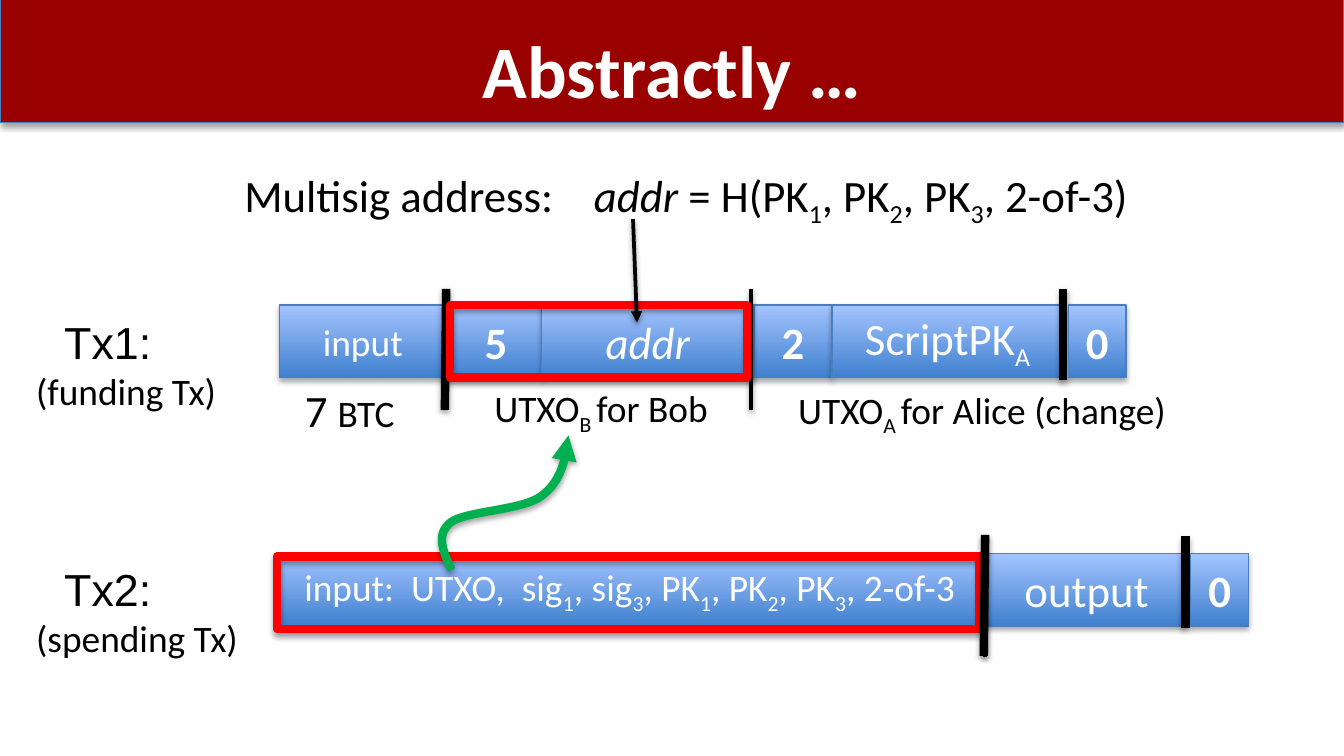
from lxml import etree
from pptx import Presentation
from pptx import util as u
from pptx.dml import color
from pptx.enum import shapes, text
from pptx.oxml import ns

BLACK, WHITE, RED, GREEN = "000000", "FFFFFF", "FF0000", "00B050"
CELL_TOP, CELL_HEIGHT = 2.27, 0.54
SPEND_TOP = 4.12


def rgb(value):
    return color.RGBColor.from_string(value)


def write(frame, content, size=20, tint=BLACK, font="Calibri", bold=False, italic=False):
    """Text between bars is set as a subscript."""
    para = frame.paragraphs[-1]
    for index, part in enumerate(content.split("|")):
        if not part:
            continue
        span = para.add_run()
        span.text = part
        span.font.size = u.Pt(size)
        span.font.name = font
        span.font.bold = bold
        span.font.italic = italic
        span.font.color.rgb = rgb(tint)
        if index % 2:
            span.font._element.set("baseline", "-25000")


def add_shadow(item, opacity=35, distance=1.8):
    effects = etree.SubElement(item.element.spPr, ns.qn("a:effectLst"))
    shadow = etree.SubElement(effects, ns.qn("a:outerShdw"), blurRad=str(u.Pt(3.1)),
                              dist=str(u.Pt(distance)), dir="5400000", rotWithShape="0")
    shade = etree.SubElement(shadow, ns.qn("a:srgbClr"), val=BLACK)
    etree.SubElement(shade, ns.qn("a:alpha"), val=str(opacity * 1000))


def add_arrowhead(item):
    line = item.element.spPr.find(ns.qn("a:ln"))
    etree.SubElement(line, ns.qn("a:tailEnd"), type="triangle")


def bezier(start, first, second, end, steps=16):
    for step in range(1, steps + 1):
        t = step / steps
        weights = ((1 - t) ** 3, 3 * t * (1 - t) ** 2, 3 * t * t * (1 - t), t ** 3)
        yield tuple(u.Inches(sum(w * point[axis] for w, point in zip(weights, (start, first, second, end))))
                    for axis in (0, 1))


class Painter:
    edge = "4B7EBC"
    gradient = ("3F80CE", "A4C4FF")

    def __init__(self, page):
        self.page = page

    def rectangle(self, left, top, width, height, fill=None, edge=edge, weight=0.75):
        box = self.page.shapes.add_shape(shapes.MSO_SHAPE.RECTANGLE, *map(u.Inches, (left, top, width, height)))
        if fill is None:
            box.fill.background()
        elif isinstance(fill, tuple):
            box.fill.gradient()
            box.fill.gradient_angle = 90
            for stop, tint in zip(box.fill.gradient_stops, fill):
                stop.color.rgb = rgb(tint)
        else:
            box.fill.solid()
            box.fill.fore_color.rgb = rgb(fill)
        box.line.color.rgb = rgb(edge)
        box.line.width = u.Pt(weight)
        add_shadow(box)
        return box

    def title(self, content):
        header = self.rectangle(0, -0.01, 10, 0.92, fill="990000")
        box = self.page.shapes.title
        box.element.addprevious(header.element)
        box.left, box.top, box.width, box.height = map(u.Inches, (0.5, 0.14, 9, 0.68))
        frame = box.text_frame
        frame.word_wrap = False
        frame.auto_size = text.MSO_AUTO_SIZE.NONE
        frame.vertical_anchor = text.MSO_ANCHOR.TOP
        frame.margin_top = u.Inches(0.04)
        frame.paragraphs[0].alignment = text.PP_ALIGN.CENTER
        write(frame, content, size=39.6, tint=WHITE, bold=True)

    def cell(self, left, top, width, content, size=24, **style):
        box = self.rectangle(left, top, width, CELL_HEIGHT, fill=self.gradient)
        frame = box.text_frame
        frame.word_wrap = True
        frame.vertical_anchor = text.MSO_ANCHOR.MIDDLE
        frame.paragraphs[0].alignment = text.PP_ALIGN.CENTER
        write(frame, content, size=size, tint=WHITE, **style)

    def label(self, left, top, width, height, content, **style):
        box = self.page.shapes.add_textbox(*map(u.Inches, (left, top, width, height)))
        box.text_frame.word_wrap = False
        write(box.text_frame, content, **style)
        return box.text_frame

    def frame(self, left, top, width):
        self.rectangle(left, top, width, CELL_HEIGHT, edge=RED, weight=4.5)

    def line(self, start, end, weight=4.5, arrow=False):
        link = self.page.shapes.add_connector(shapes.MSO_CONNECTOR.STRAIGHT, *map(u.Inches, start + end))
        link.line.color.rgb = rgb(BLACK)
        link.line.width = u.Pt(weight)
        if arrow:
            add_arrowhead(link)
        add_shadow(link, opacity=38, distance=1.6)

    def curve(self, start, *segments):
        builder = self.page.shapes.build_freeform(*map(u.Inches, start))
        for segment in segments:
            builder.add_line_segments(list(bezier(start, *segment)), close=False)
            start = segment[-1]
        arc = builder.convert_to_shape()
        arc.fill.background()
        arc.line.color.rgb = rgb(GREEN)
        arc.line.width = u.Pt(4.5)
        add_arrowhead(arc)
        add_shadow(arc)


def draw_address(painter):
    frame = painter.label(1.72, 1.2, 7.32, 0.68, "Multisig address:\t", size=24)
    frame.word_wrap = True
    write(frame, "addr", size=24, italic=True)
    write(frame, " = H(PK|1|, PK|2|, PK|3|, 2-of-3)", size=24)
    properties = frame.paragraphs[0]._p.get_or_add_pPr()
    tabs = etree.SubElement(properties, ns.qn("a:tabLst"))
    etree.SubElement(tabs, ns.qn("a:tab"), pos=str(u.Inches(2.6)), algn="l")


def draw_funding(painter):
    painter.cell(3.35, CELL_TOP, 0.68, "5", bold=True)
    painter.cell(4.03, CELL_TOP, 1.58, "addr", italic=True)
    painter.cell(5.61, CELL_TOP, 0.58, "2", bold=True)
    painter.cell(6.19, CELL_TOP, 1.72, "ScriptPK|A|")
    painter.cell(2.08, CELL_TOP, 1.24, "input", size=20)
    painter.line((3.32, 2.15), (3.31, 3.05))
    painter.line((5.59, 2.15), (5.59, 3.05), weight=2)
    painter.label(3.58, 2.82, 1.87, 0.44, "UTXO|B |for Bob")
    painter.line((7.91, 2.15), (7.91, 2.83))
    painter.cell(7.95, CELL_TOP, 0.43, "0", bold=True)
    painter.label(5.84, 2.83, 3.04, 0.44, "UTXO|A |for Alice (change)")
    amount = painter.label(2.17, 2.8, 0.87, 0.5, "7 ", size=24)
    write(amount, "BTC")
    painter.frame(3.35, CELL_TOP, 2.21)
    painter.line((4.71, 1.63), (4.74, 2.4), weight=2, arrow=True)


def draw_spending(painter):
    painter.cell(7.35, SPEND_TOP, 1.47, "output")
    painter.cell(2.08, SPEND_TOP, 5.21, "input:  UTXO,  sig|1|, sig|3|, PK|1|, PK|2|, PK|3|, 2-of-3", size=20)
    painter.line((7.33, 3.99), (7.33, 4.89), weight=2)
    painter.line((8.82, 3.99), (8.82, 4.67))
    painter.cell(8.86, SPEND_TOP, 0.43, "0", bold=True)
    painter.frame(2.06, 4.14, 5.23)
    painter.line((7.33, 3.98), (7.32, 4.88))
    painter.curve((3.36, 4.24),
                  ((3.3, 4.11), (3.24, 3.98), (3.35, 3.89)),
                  ((3.46, 3.8), (3.89, 3.8), (4.03, 3.69)),
                  ((4.18, 3.58), (4.21, 3.41), (4.23, 3.24)))


def main():
    deck = Presentation()
    deck.slide_width, deck.slide_height = u.Inches(10), u.Inches(10 * 9 / 16)
    painter = Painter(deck.slides.add_slide(deck.slide_layouts[5]))
    painter.title("Abstractly …")
    draw_address(painter)
    draw_funding(painter)
    draw_spending(painter)
    for top, name, role, width in ((2.29, "Tx1:", "(funding Tx)", 1.55), (4.13, "Tx2:", "(spending Tx)", 1.72)):
        painter.label(0.38, top, 0.86, 0.5, name, size=24, font="Arial")
        painter.label(0.17, top + 0.4, width, 0.44, role)
    deck.save("out.pptx")


if __name__ == "__main__":
    main()
